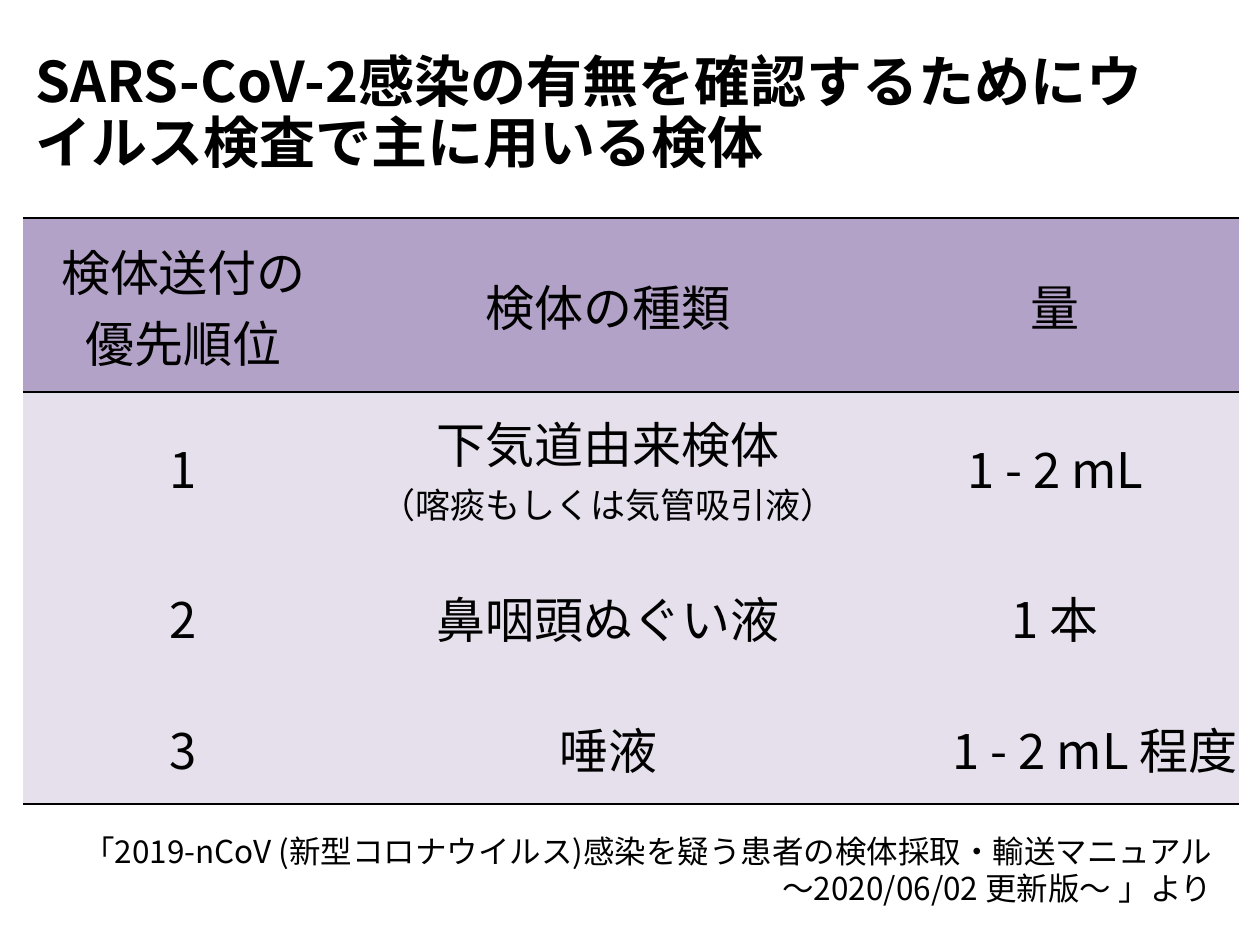
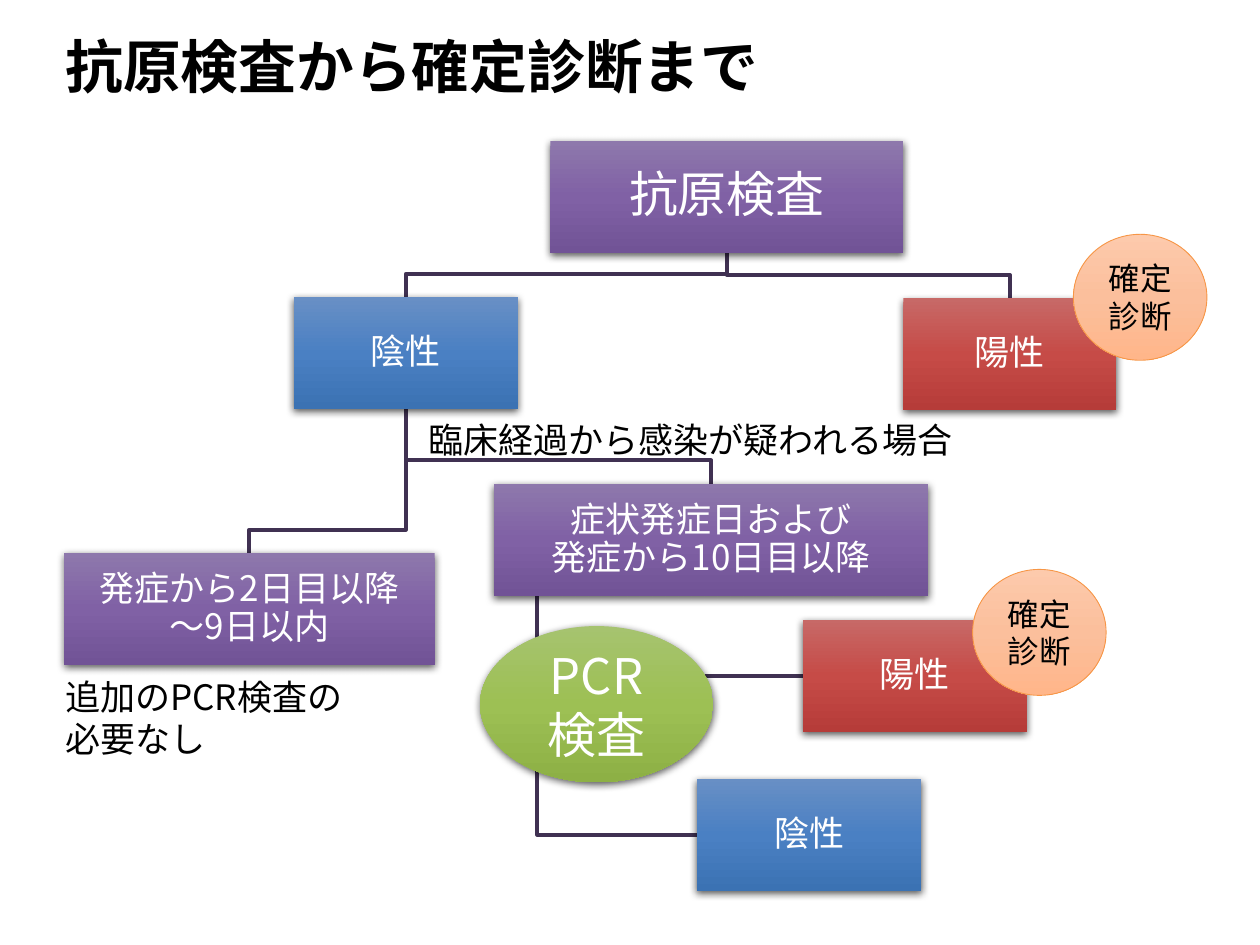
"""Build two slides on specimens and antigen testing for SARS-CoV-2."""
from lxml import etree
from pptx import Presentation
from pptx import util as u
from pptx.dml.color import RGBColor
from pptx.enum import shapes, text
from pptx.oxml import ns

FONT = "Noto Sans CJK JP"
COLORS = {"black": "000000", "white": "FFFFFF", "header": "B3A2C7", "body": "E6E0EC",
          "connector": "403152", "badge edge": "F79646"}
GRADIENTS = {"purple": ("8E78AC", "8061A5", "715396"), "blue": ("688FC5", "4A80C3", "3B72B3"),
             "red": ("C76967", "C64B47", "B63C39"), "green": ("A6C36F", "9DC054", "8DB045"),
             "peach": ("FDCAAC", "FBBF9C", "FFB68A")}
ALIGN = {"left": text.PP_ALIGN.LEFT, "center": text.PP_ALIGN.CENTER, "right": text.PP_ALIGN.RIGHT}
NO_GRID_STYLE = "{2D5ABB26-0587-4C30-8999-92F81FD0307C}"


def rgb(name):
    return RGBColor.from_string(COLORS[name])


def add_node(parent, tag, **attributes):
    node = etree.SubElement(parent, ns.qn(tag))
    for key, value in attributes.items():
        node.set(key, str(value))
    return node


class Deck:
    def __init__(self):
        self.presentation = Presentation()
        self.presentation.slide_width = u.Pt(720)
        self.presentation.slide_height = u.Pt(540)
        self.slide = None

    def add_slide(self, title, box, size):
        self.slide = self.presentation.slides.add_slide(self.presentation.slide_layouts[5])
        shape = self.slide.shapes.title
        shape.left, shape.top, shape.width, shape.height = map(u.Pt, box)
        self.fill_frame(shape.text_frame, [[(title, size)]], align="left", bold=True, spacing=0.9)

    def fill_frame(self, frame, paragraphs, color="black", align="center", bold=False, spacing=None,
                   inset=None, anchor=text.MSO_ANCHOR.MIDDLE):
        frame.word_wrap = True
        frame.auto_size = text.MSO_AUTO_SIZE.NONE
        frame.vertical_anchor = anchor
        if inset is not None:
            frame.margin_left = frame.margin_right = u.Pt(inset)
            frame.margin_top = frame.margin_bottom = u.Pt(inset)
        for index, runs in enumerate(paragraphs):
            paragraph = frame.add_paragraph() if index else frame.paragraphs[0]
            self.fill_paragraph(paragraph, runs, color, align, bold, spacing)

    def fill_paragraph(self, paragraph, runs, color="black", align="center", bold=False, spacing=None):
        paragraph.alignment = ALIGN[align]
        if spacing:
            paragraph.line_spacing = spacing
        for index, (words, size) in enumerate(runs):
            if index:
                paragraph.add_line_break()
            run = paragraph.add_run()
            run.text = words
            run.font.size = u.Pt(size)
            run.font.bold = bold
            run.font.color.rgb = rgb(color)
            run.font.name = FONT
            add_node(run.font._element, "a:ea", typeface=FONT)

    def note(self, box, lines, size, align="left"):
        shape = self.slide.shapes.add_textbox(*map(u.Pt, box))
        self.fill_frame(shape.text_frame, [[(line, size)] for line in lines], align=align,
                        anchor=text.MSO_ANCHOR.TOP)

    def elbow(self, *points):
        (x, y), *rest = [(u.Pt(x), u.Pt(y)) for x, y in points]
        builder = self.slide.shapes.build_freeform(x, y)
        builder.add_line_segments(rest, close=False)
        shape = builder.convert_to_shape()
        shape.fill.background()
        shape.line.color.rgb = rgb("connector")
        shape.line.width = u.Pt(2.25)
        shape.shadow.inherit = False

    def gradient_shape(self, kind, box, gradient, edge=None):
        shape = self.slide.shapes.add_shape(kind, *map(u.Pt, box))
        shape.fill.gradient()
        shape.fill.gradient_angle = 270
        stops = shape._element.spPr.find(".//" + ns.qn("a:gsLst"))
        for stop in list(stops):
            stops.remove(stop)
        for position, value in zip((0, 50000, 100000), GRADIENTS[gradient]):
            add_node(add_node(stops, "a:gs", pos=position), "a:srgbClr", val=value)
        shape.shadow.inherit = False
        if edge:
            shape.line.color.rgb = rgb(edge)
            shape.line.width = u.Pt(0.5)
        else:
            shape.line.fill.background()
            effects = shape._element.spPr.find(ns.qn("a:effectLst"))
            shadow = add_node(effects, "a:outerShdw", blurRad=u.Pt(4.5), dist=u.Pt(1.5),
                              dir=5400000, rotWithShape=0)
            add_node(add_node(shadow, "a:srgbClr", val=COLORS["black"]), "a:alpha", val=63000)
        return shape

    def box(self, box, gradient, lines, size=20):
        shape = self.gradient_shape(shapes.MSO_SHAPE.RECTANGLE, box, gradient)
        self.fill_frame(shape.text_frame, [[(line, size) for line in lines]], "white",
                        spacing=0.9, inset=1)

    def ellipse(self, box, gradient, words, size, color="white", edge=None):
        shape = self.gradient_shape(shapes.MSO_SHAPE.OVAL, box, gradient, edge)
        self.fill_frame(shape.text_frame, [[(words, size)]], color)

    def table(self, box, widths, heights, rows):
        frame = self.slide.shapes.add_table(len(rows), len(widths), *map(u.Pt, box))
        table = frame.table
        table.first_row = table.horz_banding = False
        table._tbl.tblPr.find(ns.qn("a:tableStyleId")).text = NO_GRID_STYLE
        for column, width in zip(table.columns, widths):
            column.width = u.Pt(width)
        for row, height in zip(table.rows, heights):
            row.height = u.Pt(height)
        last = len(rows) - 1
        for row, entries in enumerate(rows):
            edges = {0: ("a:lnT", "a:lnB"), last: ("a:lnB",)}.get(row, ())
            for column, runs in enumerate(entries):
                align = "right" if (row, column) == (last, 2) else "center"
                self.cell(table.cell(row, column), runs, align, "body" if row else "header", edges)

    def cell(self, cell, runs, align, fill, edges):
        cell.margin_left = cell.margin_right = cell.margin_top = u.Pt(0.72)
        cell.margin_bottom = 0
        cell.vertical_anchor = text.MSO_ANCHOR.MIDDLE
        self.fill_paragraph(cell.text_frame.paragraphs[0], runs, align=align)
        properties = cell._tc.get_or_add_tcPr()
        for edge in edges:
            line = add_node(properties, edge, w=u.Pt(1))
            add_node(add_node(line, "a:solidFill"), "a:srgbClr", val=COLORS["black"])
        cell.fill.solid()
        cell.fill.fore_color.rgb = rgb(fill)


def specimens(deck):
    deck.add_slide("SARS-CoV-2感染の有無を確認するためにウイルス検査で主に用いる検体",
                   (13, 15, 677.5, 101), 32)
    deck.table((13, 124.5, 695, 335), (183.6, 301.7, 209.5), (99.4, 85.7, 85, 64.8), [
        [[("検体送付の", 28), ("優先順位", 28)], [("検体の種類", 28)], [("量", 28)]],
        [[("1", 28)], [("下気道由来検体", 28), ("（喀痰もしくは気管吸引液）", 20)], [("1 - 2 mL", 28)]],
        [[("2", 28)], [("鼻咽頭ぬぐい液", 28)], [("1 本", 28)]],
        [[("3", 28)], [("唾液", 28)], [("1 - 2 mL 程度", 28)]]])
    deck.note((31.7, 471.6, 668.2, 51), ["「2019-nCoV (新型コロナウイルス)感染を疑う患者の検体採取・"
              "輸送マニュアル 〜2020/06/02 更新版〜 」より"], 18, "right")


def diagnosis(deck):
    deck.add_slide("抗原検査から確定診断まで", (30.2, 17.3, 620.6, 44.6), 33)
    height, drop = 64, 13.4
    antigen = (314.6, 80.6, 201.6, height)
    negative = (167.8, 169.9, 128.2, height)
    positive = (516.2, 170.6, 121.7, height)
    middle_days = (36.7, 316.1, 211.7, height)
    other_days = (282.2, 276.5, 248.4, height)
    pcr_positive = (458.6, 354.2, 128.2, height)
    pcr_negative = (398.2, 445, 128.2, height)

    for parent, child in ((antigen, positive), (antigen, negative),
                          (negative, other_days), (negative, middle_days)):
        start, end = parent[0] + parent[2] / 2, child[0] + child[2] / 2
        turn = child[1] - drop
        deck.elbow((start, parent[1] + height), (start, turn), (end, turn), (end, child[1]))
    stem = other_days[0] + other_days[2] / 10
    for child in (pcr_negative, pcr_positive):
        level = child[1] + height / 2
        deck.elbow((stem, other_days[1] + height), (stem, level), (child[0], level))

    deck.box(antigen, "purple", ["抗原検査"], 28)
    deck.box(middle_days, "purple", ["発症から2日目以降", "～9日以内"])
    deck.box(other_days, "purple", ["症状発症日および", "発症から10日目以降"])
    for box in (negative, pcr_negative):
        deck.box(box, "blue", ["陰性"])
    for box in (positive, pcr_positive):
        deck.box(box, "red", ["陽性"])
    deck.note((237.6, 235.4, 360, 31.5), ["臨床経過から感染が疑われる場合"], 20)
    deck.note((30.2, 382.3, 212.4, 55.7), ["追加のPCR検査の", "必要なし"], 20)
    deck.ellipse((274.3, 357.8, 133.2, 89.3), "green", "PCR検査", 28)
    for left, top in ((613.4, 133.9), (555.8, 325.4)):
        deck.ellipse((left, top, 76.3, 72), "peach", "確定診断", 18, "black", "badge edge")


def main():
    deck = Deck()
    specimens(deck)
    diagnosis(deck)
    deck.presentation.save("out.pptx")


main()
